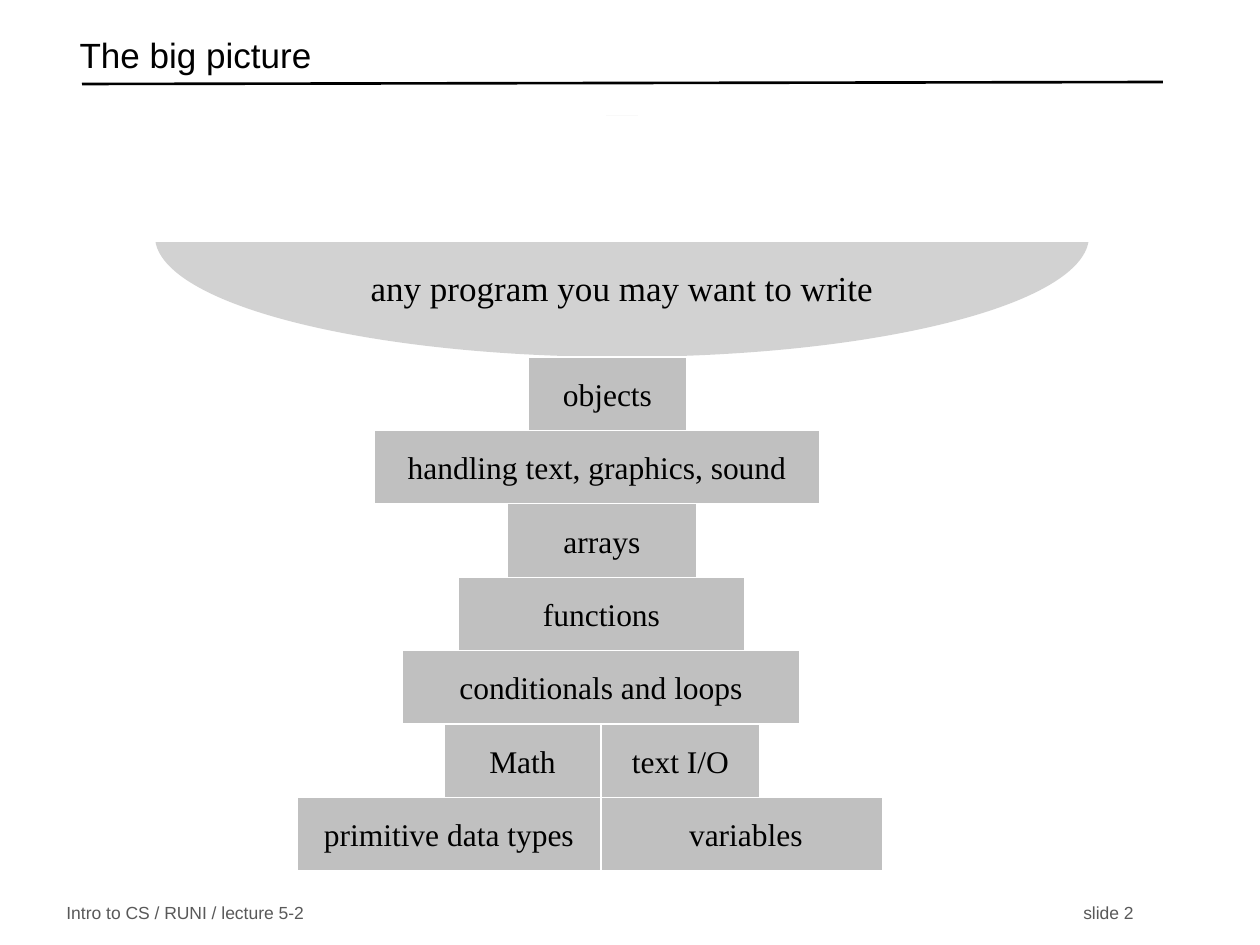
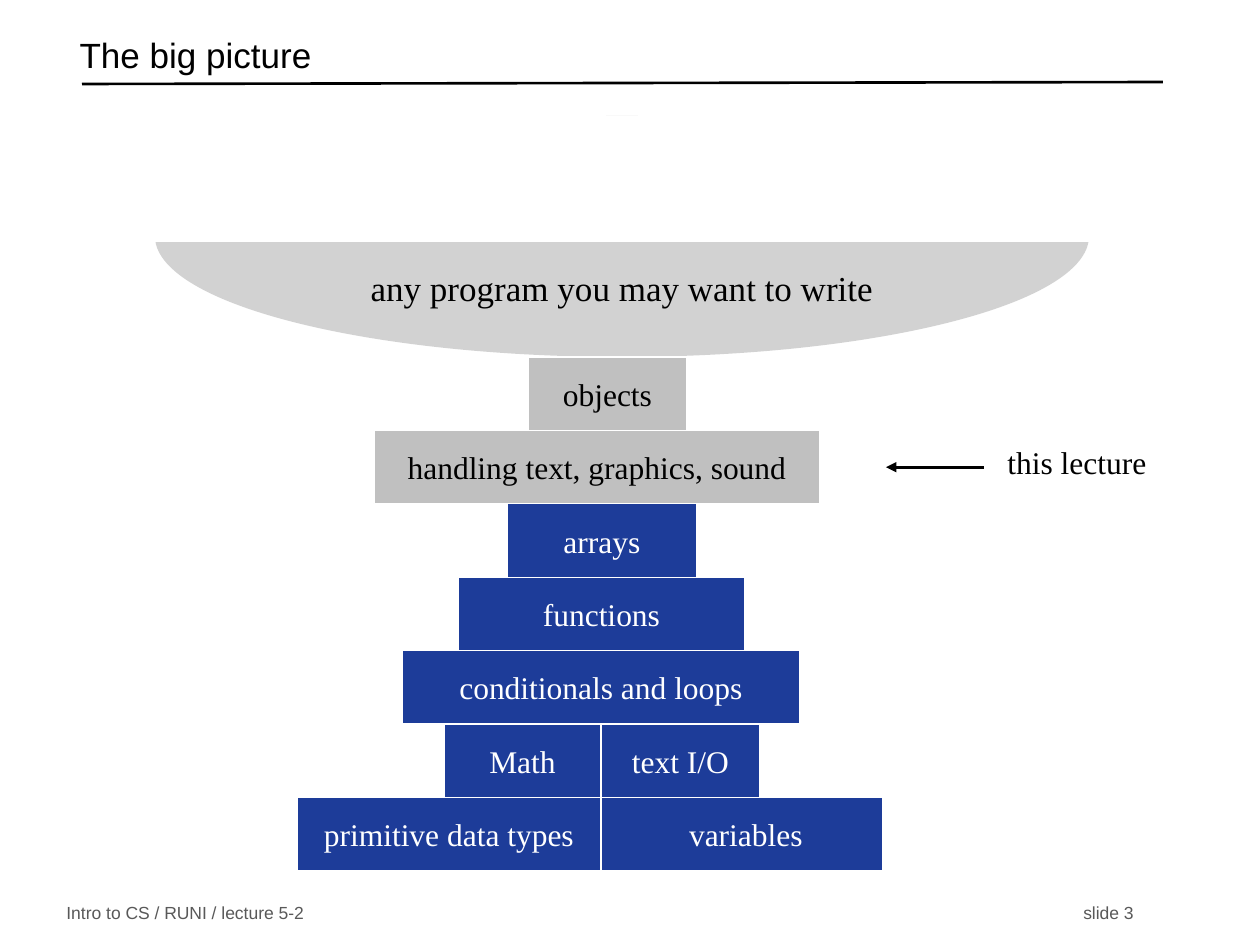
from lxml import etree
from pptx import Presentation
from pptx import util as u
from pptx.dml.color import RGBColor
from pptx.enum import shapes, text
from pptx.oxml import ns

TITLE = "The big picture"
COURSE = "Intro to CS / RUNI / lecture 5-2"
GOAL = "any program you may want to write"
MARKER = "this lecture"
TOWER = [
    [("objects", 528, 159)],
    [("handling text, graphics, sound", 374, 446)],
    [("arrays", 507, 190)],
    [("functions", 458, 287)],
    [("conditionals and loops", 402, 398)],
    [("Math", 444, 157), ("text I/O", 601, 159)],
    [("primitive data types", 297, 304), (" variables", 601, 282)],
]
SLIDES = [
    {"number": 2, "learned_from": len(TOWER), "current": None},
    {"number": 3, "learned_from": 2, "current": 1},
]

COLORS = {
    "ink": "000000", "paper": "FFFFFF", "footer": "595959",
    "bowl": "A6A6A6", "ahead": "C0C0C0", "learned": "1D3C99",
}
SANS, SERIF = "Arial", "Times New Roman"
TOWER_TOP, TOWER_BOTTOM = 357, 871
ROW_H = (TOWER_BOTTOM - TOWER_TOP) / len(TOWER)
BOWL = (155, 116, 934, 241)
BOWL_COVER = (21, 116, 1218, 126)
TITLE_BOX = (67, 28, 1084, 63)
FOOTER_BOX = (54, 900, 1092, 26)
RULE = (82, 84, 1163, 82)
ARROW_X = (984, 886)
MARKER_BOX = (995, 437, 226, 50)


def px(*values):
    return [u.Emu(round(v * 914400 / 126)) for v in values]


def rgb(name):
    return RGBColor.from_string(COLORS[name])


def write(sp, words, font, size, color="ink", align=text.PP_ALIGN.LEFT,
          anchor=text.MSO_ANCHOR.MIDDLE, wrap=False):
    tf = sp.text_frame
    tf.word_wrap = wrap
    tf.vertical_anchor = anchor
    p = tf.paragraphs[0]
    p.alignment = align
    r = p.add_run()
    r.text = words
    r.font.name, r.font.size = font, u.Pt(size)
    r.font.color.rgb = rgb(color)
    return p


def add_block(s, kind, box, fill, line=None):
    sp = s.shapes.add_shape(kind, *px(*box))
    sp.shadow.inherit = False
    sp.fill.solid()
    sp.fill.fore_color.rgb = rgb(fill)
    if line:
        sp.line.color.rgb = rgb(line)
        sp.line.width = u.Pt(0.75)
    else:
        sp.line.fill.background()
    return sp


def add_line(s, ends, width, arrow=False):
    line = s.shapes.add_connector(shapes.MSO_CONNECTOR.STRAIGHT, *px(*ends))
    line.line.color.rgb = rgb("ink")
    line.line.width = u.Pt(width)
    if arrow:
        etree.SubElement(line.line._get_or_add_ln(), ns.qn("a:tailEnd"), type="triangle")
    etree.SubElement(line._element.spPr, ns.qn("a:effectLst"))


def add_frame(s, number):
    title = s.shapes.title
    title.left, title.top, title.width, title.height = px(*TITLE_BOX)
    write(title, TITLE, SANS, 20, wrap=True).line_spacing = 0.7
    add_line(s, RULE, 1.5)
    for words, align in ((COURSE, text.PP_ALIGN.LEFT),
                         (f"slide {number}", text.PP_ALIGN.RIGHT)):
        box = s.shapes.add_textbox(*px(*FOOTER_BOX))
        write(box, words, SANS, 10, "footer", align, wrap=True)


def add_bowl(s):
    bowl = add_block(s, shapes.MSO_SHAPE.OVAL, BOWL, "bowl")
    color = bowl._element.spPr.find(ns.qn("a:solidFill"))[0]
    etree.SubElement(color, ns.qn("a:alpha"), val="50000")
    bowl.text_frame.margin_bottom = px(13)[0]
    write(bowl, GOAL, SERIF, 20, align=text.PP_ALIGN.CENTER, anchor=text.MSO_ANCHOR.BOTTOM)
    add_block(s, shapes.MSO_SHAPE.RECTANGLE, BOWL_COVER, "paper")


def add_tower(s, learned_from):
    for i, row in enumerate(TOWER):
        fill, ink = ("learned", "paper") if i >= learned_from else ("ahead", "ink")
        for words, left, width in row:
            box = (left, TOWER_TOP + i * ROW_H, width, ROW_H)
            brick = add_block(s, shapes.MSO_SHAPE.RECTANGLE, box, fill, "paper")
            write(brick, words, SERIF, 18, ink, text.PP_ALIGN.CENTER)


def add_marker(s, row):
    y = TOWER_TOP + (row + 0.5) * ROW_H
    add_line(s, (ARROW_X[0], y, ARROW_X[1], y), 1.75, arrow=True)
    box = s.shapes.add_textbox(*px(*MARKER_BOX))
    write(box, MARKER, SERIF, 18, anchor=text.MSO_ANCHOR.TOP, wrap=True)


def main():
    prs = Presentation()
    prs.slide_width, prs.slide_height = px(1260, 945)
    for item in SLIDES:
        s = prs.slides.add_slide(prs.slide_layouts[5])
        add_frame(s, item["number"])
        add_bowl(s)
        add_tower(s, item["learned_from"])
        if item["current"] is not None:
            add_marker(s, item["current"])
    prs.save("out.pptx")


if __name__ == "__main__":
    main()
